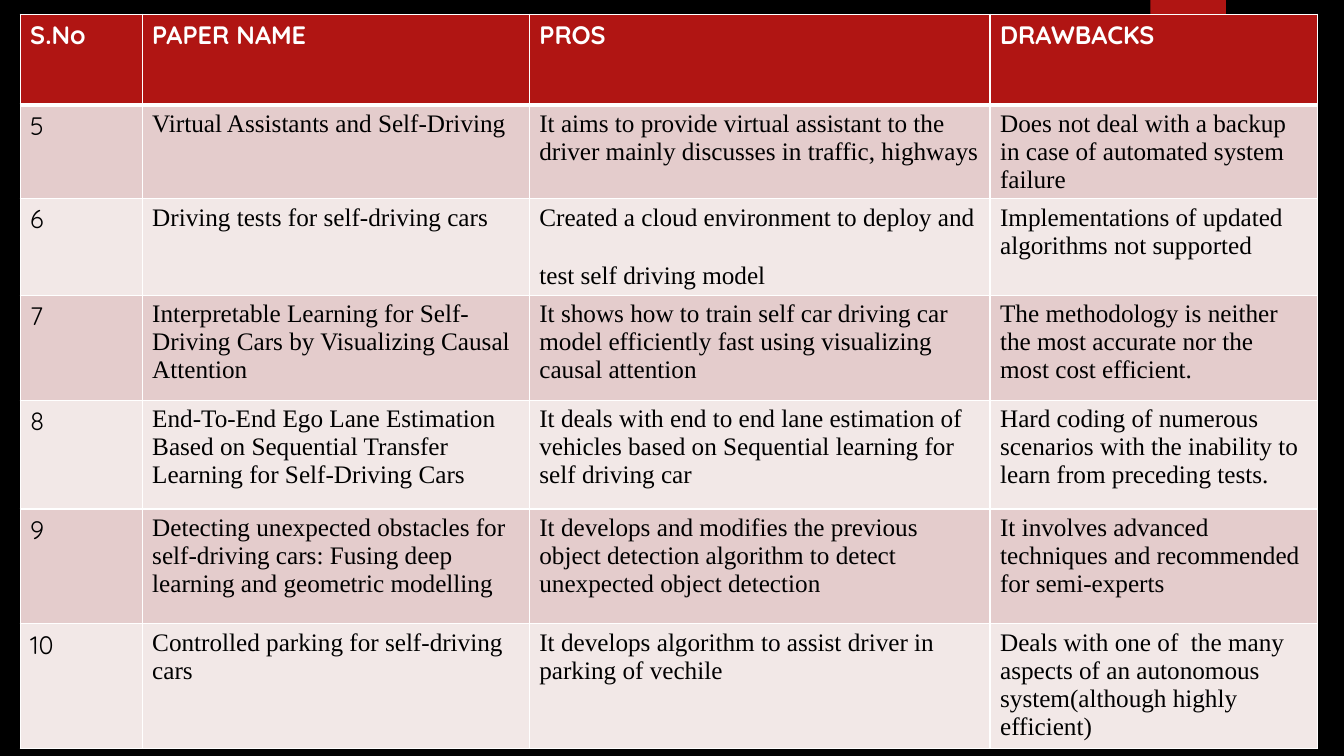
from lxml.etree import SubElement
from pptx import Presentation
from pptx.dml.color import RGBColor
from pptx.enum.shapes import MSO_SHAPE as Shape
from pptx.oxml.ns import qn
from pptx.util import Inches, Pt

BLACK = RGBColor(0x00, 0x00, 0x00)
WHITE = RGBColor(0xFF, 0xFF, 0xFF)
RED = RGBColor(0xB0, 0x15, 0x13)
PINK = RGBColor(0xE4, 0xCC, 0xCC)
PALE = RGBColor(0xF2, 0xE8, 0xE7)

HEADING = {"name": "Quicksand", "size": Pt(18), "bold": True}
NUMBER = {"name": "Quicksand", "size": Pt(18), "bold": False}
BODY = {"name": "Times New Roman", "size": Pt(18), "bold": False}

COLUMN_WIDTHS = [1.21, 3.84, 4.57, 3.25]
ROW_HEIGHTS = [0.9, 0.85, 0.77, 1.04, 1.08, 1.14, 1.24]
PAPERS = [
    ["S.No", "PAPER NAME", "PROS", "DRAWBACKS"],
    ["5", "Virtual Assistants and Self-Driving",
     "It aims to provide virtual assistant to the driver mainly discusses in traffic, highways",
     "Does not deal with a backup in case of automated system failure"],
    ["6", "Driving tests for self-driving cars",
     "Created a cloud environment to deploy and \vtest self driving model",
     "Implementations of updated algorithms not supported"],
    ["7", "Interpretable Learning for Self-Driving Cars by Visualizing Causal Attention",
     "It shows how to train self car driving car model efficiently fast using visualizing causal attention",
     "The methodology is neither the most accurate nor the most cost efficient."],
    ["8", "End-To-End Ego Lane Estimation Based on Sequential Transfer Learning for Self-Driving Cars",
     "It deals with end to end lane estimation of vehicles based on Sequential learning for self driving car",
     "Hard coding of numerous scenarios with the inability to learn from preceding tests."],
    ["9", "Detecting unexpected obstacles for self-driving cars: Fusing deep learning and geometric modelling",
     "It develops and modifies the previous object detection algorithm to detect unexpected object detection",
     "It involves advanced techniques and recommended for semi-experts"],
    ["10", "Controlled parking for self-driving cars",
     "It develops algorithm to assist driver in parking of vechile",
     "Deals with one of  the many aspects of an autonomous system(although highly efficient)"],
]


class SlideBuilder:
    """Holds the table style and the current slide."""

    def __init__(self, slide, border_color=WHITE):
        self.slide = slide
        self.border_color = border_color

    def background(self, color):
        fill = self.slide.background.fill
        fill.solid()
        fill.fore_color.rgb = color

    def rectangle(self, left, top, width, height, color):
        shape = self.slide.shapes.add_shape(
            Shape.RECTANGLE, Inches(left), Inches(top), Inches(width), Inches(height))
        shape.shadow.inherit = False
        shape.fill.solid()
        shape.fill.fore_color.rgb = color
        shape.line.fill.background()

    def borders(self, cell, widths):
        properties = cell._tc.get_or_add_tcPr()
        for index, (side, width) in enumerate(widths.items()):
            line = properties.makeelement(qn(f"a:{side}"), {"w": str(Pt(width))})
            properties.insert(index, line)
            fill = SubElement(line, qn("a:solidFill"))
            SubElement(fill, qn("a:srgbClr"), val=str(self.border_color))

    def cell(self, cell, text, fill, color, font_format, widths):
        cell.fill.solid()
        cell.fill.fore_color.rgb = fill
        cell.text = text
        for paragraph in cell.text_frame.paragraphs:
            for run in paragraph.runs:
                for name, value in font_format.items():
                    setattr(run.font, name, value)
                run.font.color.rgb = color
            # Line breaks take the size of the text around them
            for line_break in paragraph._p.findall(qn("a:br")):
                SubElement(line_break, qn("a:rPr"), sz=str(int(font_format["size"].pt * 100)))
        self.borders(cell, widths)

    def table(self, left, top, column_widths, row_heights, rows):
        table = self.slide.shapes.add_table(
            len(rows), len(column_widths), Inches(left), Inches(top),
            Inches(sum(column_widths)), Inches(sum(row_heights))).table
        for column, width in zip(table.columns, column_widths):
            column.width = Inches(width)
        for row, height in zip(table.rows, row_heights):
            row.height = Inches(height)
        for row_index, texts in enumerate(rows):
            is_header = row_index == 0
            fill = RED if is_header else (PALE, PINK)[row_index % 2]
            color = WHITE if is_header else BLACK
            widths = {"lnL": 1, "lnR": 1, "lnT": 3 if row_index == 1 else 1,
                      "lnB": 3 if is_header else 1}
            for column_index, text in enumerate(texts):
                body_format = NUMBER if column_index == 0 else BODY
                self.cell(table.cell(row_index, column_index), text, fill, color,
                          HEADING if is_header else body_format, widths)


def main():
    presentation = Presentation()
    presentation.slide_width = Inches(13.33)
    presentation.slide_height = Inches(7.5)
    slide = presentation.slides.add_slide(presentation.slide_layouts[6])
    builder = SlideBuilder(slide)

    # Backdrop and red tab
    builder.background(BLACK)
    builder.rectangle(11.41, 0, 0.75, 1.25, RED)

    # Paper comparison
    builder.table(0.2, 0.14, COLUMN_WIDTHS, ROW_HEIGHTS, PAPERS)

    presentation.save("out.pptx")


if __name__ == "__main__":
    main()
